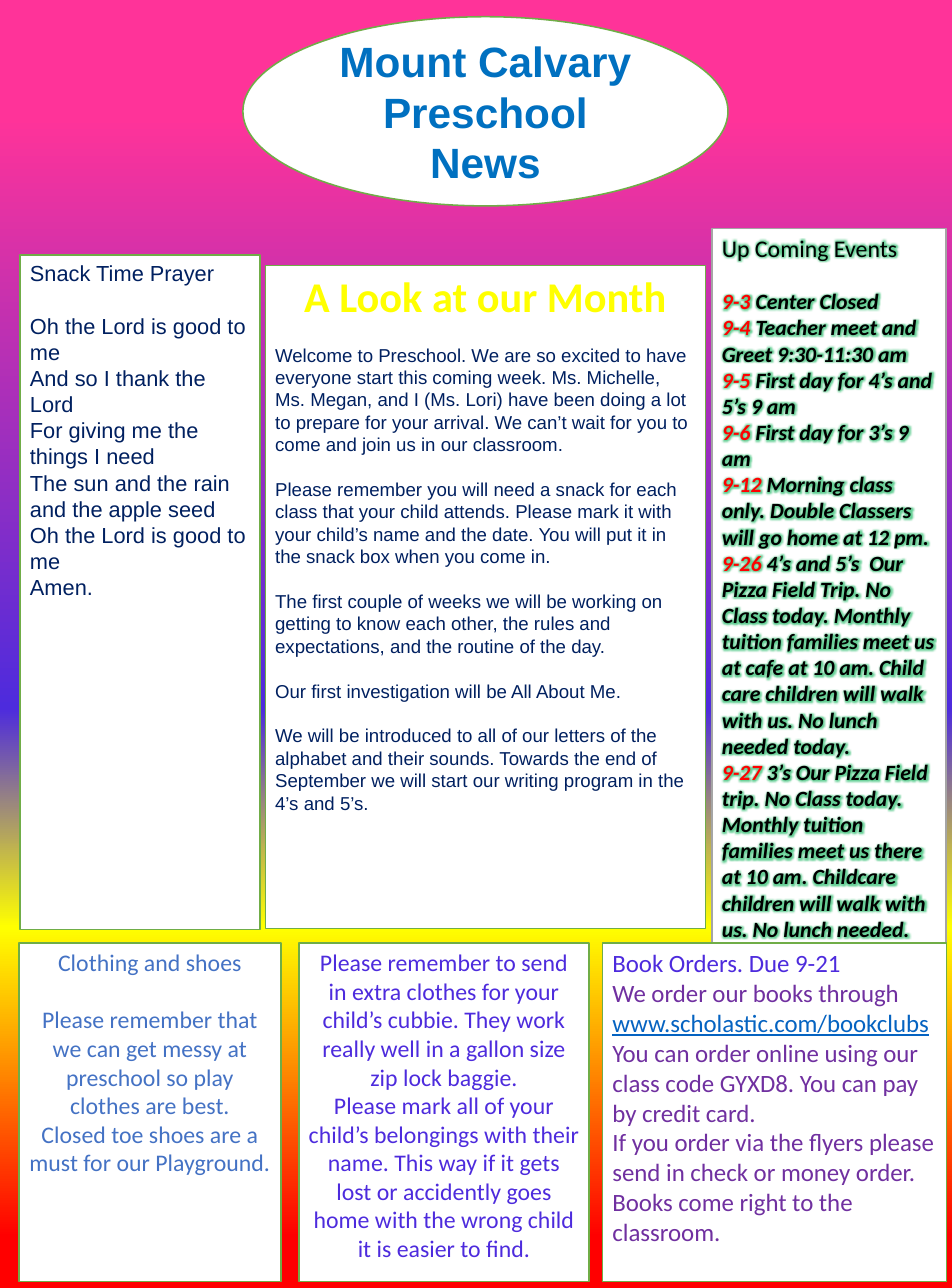
from pptx import Presentation
from pptx.dml.color import RGBColor
from pptx.enum.shapes import MSO_SHAPE
from pptx.enum.text import MSO_ANCHOR, PP_ALIGN
from pptx.oxml import parse_xml
from pptx.oxml.ns import nsdecls, qn
from pptx.util import Cm, Pt

# Colours
GREEN, GRAY, WHITE = "70AD47", "A5A5A5", "FFFFFF"
SKY = [(9, "FF3399"), (55, "4D2BDD"), (72, "FFFF00"), (96, "FF0000")]
BLUES = [(0, "203864"), (50, "4472C4"), (100, "8FAADC")]

# Text styles: font values, then colour and effects
STYLES = {
    "title": (dict(name="Arial", size=27.2, bold=True), dict(ink="0070C0", edge=("7030A0", 0.75))),
    "prayer": (dict(name="Arial", size=14), dict(ink="002060")),
    "events": (dict(name="Calibri", size=15.3), dict(ink="000000", glow="00B050")),
    "date": (dict(name="Calibri", size=14, bold=True, italic=True), dict(ink="FF0000", glow="00B050")),
    "event": (dict(name="Calibri", size=14, bold=True, italic=True), dict(ink="000000", glow="00B050")),
    "month": (dict(name="Calibri", size=27.2, bold=True), dict(ink="FFFF00", edge=("4472C4", 1))),
    "news": (dict(name="Arial", size=12), dict(ink="002060")),
    "shoes": (dict(name="Calibri", size=15.3), dict(ink=BLUES)),
    "spare": (dict(name="Calibri", size=15.3), dict(ink="4D2BDD")),
    "due": (dict(name="Calibri", size=16), dict(ink="4D2BDD")),
    "books": (dict(name="Calibri", size=16), dict(ink="7030A0")),
    "web": (dict(name="Calibri", size=16, underline=True), dict(ink="0563C1")),
}

# Content: a paragraph is (blank space above, in lines; its runs)
PRAYER = ["Oh the Lord is good to me", "And so I thank the Lord", "For giving me the things I need",
          "The sun and the rain and the apple seed", "Oh the Lord is good to me", "Amen."]
EVENTS = [
    ("9-3", " Center Closed"),
    ("9-4 ", "Teacher meet and Greet 9:30-11:30 am"),
    ("9-5", " First day for 4’s and 5’s 9 am"),
    ("9-6", " First day for 3’s 9 am"),
    ("9-12", " Morning class only. Double Classers will go home at 12 pm."),
    ("9-26", " 4’s and 5’s  Our Pizza Field Trip. No Class today. Monthly tuition families meet us "
             "at cafe at 10 am. Child care children will walk with us. No lunch needed today."),
    ("9-27", " 3’s Our Pizza Field trip. No Class today. Monthly tuition families meet us there "
             "at 10 am. Childcare children will walk with us. No lunch needed."),
]
NEWS = [
    "Welcome to Preschool. We are so excited to have everyone start this coming week. Ms. Michelle, "
    "Ms. Megan, and I (Ms. Lori) have been doing a lot to prepare for your arrival. We can’t wait "
    "for you to come and join us in our classroom.",
    "Please remember you will need a snack for each class that your child attends. Please mark it "
    "with your child’s name and the date. You will put it in the snack box when you come in.",
    "The first couple of weeks we will be working on getting to know each other, the rules and "
    "expectations, and the routine of the day.",
    "Our first investigation will be All About Me.",
    "We will be introduced to all of our letters of the alphabet and their sounds. Towards the end "
    "of September we will start our writing program in the 4’s and 5’s.",
]
SHOES = ["Please remember that we can get messy at preschool so play clothes are best.",
         "Closed toe shoes are a must for our Playground."]
SPARE = ["Please remember to send in extra clothes for your child’s cubbie. They work really well in "
         "a gallon size zip lock baggie.",
         "Please mark all of your child’s belongings with their name. This way if it gets lost or "
         "accidently goes home with the wrong child it is easier to find."]
BOOKS = ["You can order online using our class code GYXD8. You can pay by credit card.",
         "If you order via the flyers please send in check or money order.",
         "Books come right to the classroom."]


def plain(lines, style, first=0):
    return [(0 if i else first, [(line, style)]) for i, line in enumerate(lines)]


# Boxes: left, top, width, height in cm; line; centred; paragraphs
ROW, TALL = 21.39, 7.67
BOXES = [
    ((0.46, 5.79, 5.44, 15.29), GREEN, False,
     plain(["Snack Time Prayer"], "prayer") + plain(PRAYER, "prayer", 1)),
    ((16.15, 5.18, 5.31, 16.21), GRAY, False,
     plain(["Up Coming Events"], "events")
     + [(0 if i else 1, [(day, "date"), (what, "event")]) for i, (day, what) in enumerate(EVENTS)]),
    ((6.02, 6.02, 9.98, 15.04), GREEN, False,
     plain(["A Look at our Month"], "month") + [(1, [(line, "news")]) for line in NEWS]),
    ((0.43, ROW, 5.94, TALL), GREEN, True,
     plain(["Clothing and shoes"], "shoes") + plain(SHOES, "shoes", 1)),
    ((6.78, ROW, 6.58, TALL), GREEN, True, plain(SPARE, "spare")),
    ((13.67, ROW, 7.8, TALL), GREEN, False,
     plain(["Book Orders. Due 9-21"], "due")
     + [(0, [("We order our books through ", "books"), ("www.scholastic.com/bookclubs", "web")])]
     + plain(BOOKS, "books")),
]


def paint(fill, tint):
    fill.solid()
    fill.fore_color.rgb = RGBColor.from_string(tint)


def blend(root, stops):
    """Turn the first solid fill under root into a downward gradient."""
    marks = "".join(f'<a:gs pos="{at * 1000}"><a:srgbClr val="{tint}"/></a:gs>' for at, tint in stops)
    old = root.find(".//" + qn("a:solidFill"))
    old.getparent().replace(old, parse_xml(
        f'<a:gradFill {nsdecls("a")} rotWithShape="1"><a:gsLst>{marks}</a:gsLst>'
        '<a:lin ang="5400000" scaled="0"/></a:gradFill>'))


def write(para, text, style):
    form, look = STYLES[style]
    run = para.add_run()
    run.text = text
    for key, value in form.items():
        setattr(run.font, key, Pt(value) if key == "size" else value)
    ink = look["ink"]
    paint(run.font.fill, ink if isinstance(ink, str) else WHITE)
    props = run.font._element
    if not isinstance(ink, str):
        blend(props, ink)
    if "edge" in look:
        tint, width = look["edge"]
        props.insert(0, parse_xml(f'<a:ln {nsdecls("a")} w="{Pt(width)}"><a:solidFill>'
                                  f'<a:srgbClr val="{tint}"/></a:solidFill></a:ln>'))
    if "glow" in look:
        props.find(qn("a:solidFill")).addnext(parse_xml(
            f'<a:effectLst {nsdecls("a")}><a:glow rad="{Pt(5)}"><a:srgbClr val="{look["glow"]}">'
            '<a:alpha val="60000"/></a:srgbClr></a:glow></a:effectLst>'))


def panel(slide, kind, place, line, center, paras):
    shape = slide.shapes.add_shape(kind, *map(Cm, place))
    shape.shadow.inherit = False
    paint(shape.fill, WHITE)
    paint(shape.line.fill, line)
    shape.line.width = Pt(1)
    frame = shape.text_frame
    frame.word_wrap = True
    for i, (gap, runs) in enumerate(paras):
        para = frame.add_paragraph() if i else frame.paragraphs[0]
        style = runs[0][1]
        pitch = Pt(STYLES[style][0]["size"] * 1.2)
        mid = center or style == "month"
        para.alignment = PP_ALIGN.CENTER if mid else PP_ALIGN.LEFT
        para.line_spacing = pitch
        if gap:
            para.space_before = int(pitch * gap)
        for text, name in runs:
            write(para, text, name)
    return frame


def main():
    deck = Presentation()
    deck.slide_width, deck.slide_height = Cm(21.59), Cm(29.21)
    slide = deck.slides.add_slide(deck.slide_layouts[6])
    paint(slide.background.fill, WHITE)
    blend(slide.element, SKY)

    # Title
    head = panel(slide, MSO_SHAPE.OVAL, (5.51, 0.38, 11, 4.29), GREEN, True,
                 plain(["Mount Calvary Preschool News"], "title"))
    head.vertical_anchor = MSO_ANCHOR.MIDDLE

    # Columns and bottom row
    for box in BOXES:
        frame = panel(slide, MSO_SHAPE.RECTANGLE, *box)
        frame.vertical_anchor = MSO_ANCHOR.TOP
        frame.margin_left = frame.margin_right = Cm(0.22)
        frame.margin_top = frame.margin_bottom = Cm(0.11)
    deck.save("out.pptx")


if __name__ == "__main__":
    main()
